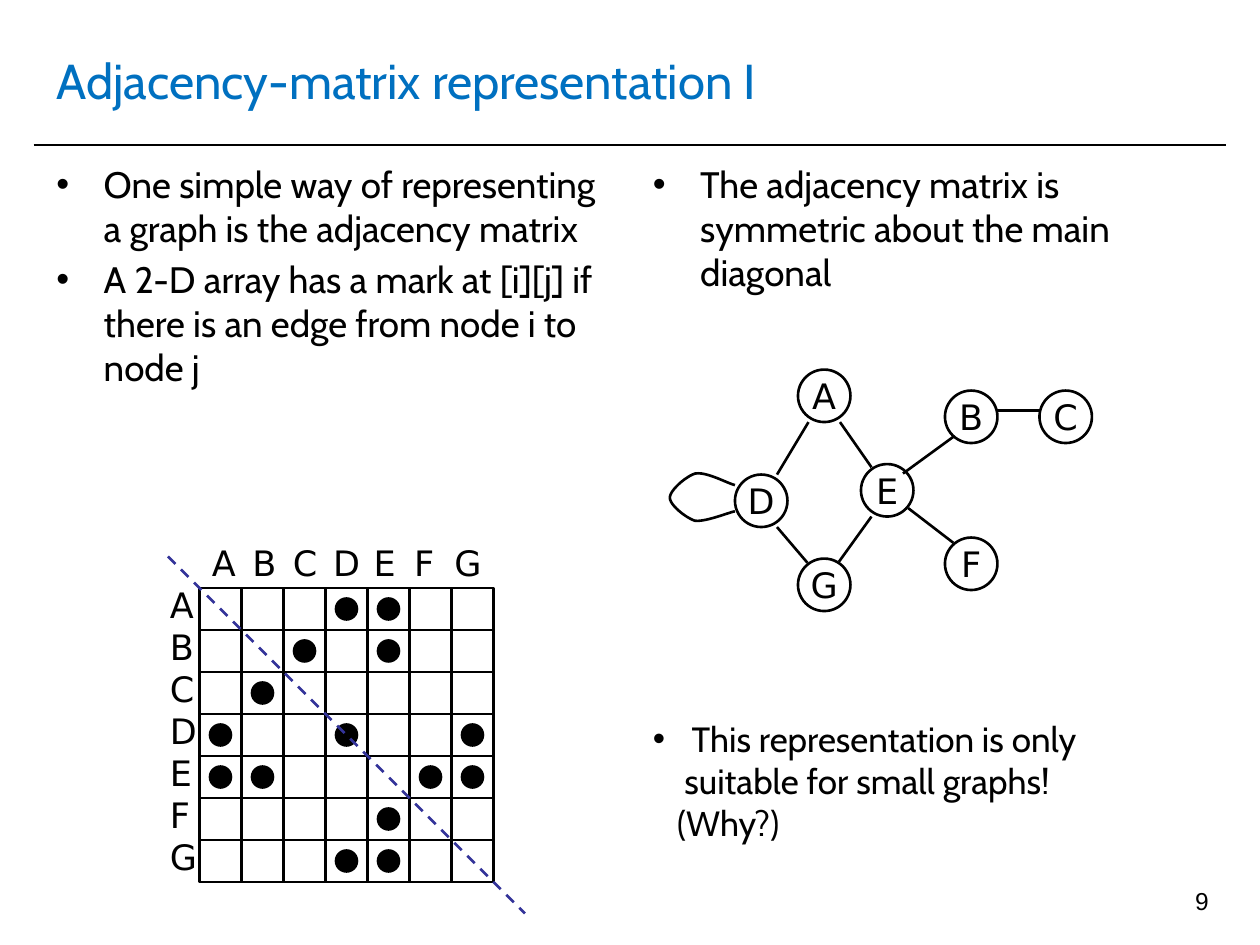
import pptx
import pptx.dml.color
import pptx.enum.dml
import pptx.enum.shapes
import pptx.enum.text
import pptx.oxml
import pptx.oxml.ns
import pptx.util

COLS, ROWS = 120, 90
UNIT = 1 / 12
LETTERS = "ABCDEFG"
ALIGN = pptx.enum.text.PP_ALIGN
ANCHOR = pptx.enum.text.MSO_ANCHOR
SHAPE = pptx.enum.shapes.MSO_SHAPE
LABEL = {"name": "DejaVu Sans", "size": 20}
BODY = {"name": "Cabin", "size": 21}
NOTE = {"name": "Cabin", "size": 20}

NODES = {"A": (76, 35.2), "B": (90, 37.2), "C": (99, 37.2), "D": (70, 45.2),
         "E": (82, 44.2), "F": (90, 51.2), "G": (76, 53.2)}
EDGES = {"AD": (77, 40.2, 74, 45.2), "AE": (80, 40.2, 83, 44.5),
         "BC": (95, 39.1, 99, 39.1), "BE": (90.8, 41.6, 86, 45.1),
         "DG": (74, 50.2, 76.9, 53.6), "EF": (86.5, 48.4, 90.8, 51.7),
         "EG": (83, 49.2, 79.9, 53.5)}
LOOP = [(70, 48.7), (69.4, 48.8), (67.3, 49.7), (66.2, 49.6), (65.3, 49.3),
        (63.8, 48.1), (63.8, 47.4), (63.8, 46.7), (65.3, 45.4), (66.2, 45.1),
        (67.3, 44.9), (69.2, 46), (70, 46.2)]


def grid(*values):
    """Turn grid units into lengths."""
    return [pptx.util.Inches(v * UNIT) for v in values]


def color(hex_string):
    """Turn a hex string into a colour."""
    return pptx.dml.color.RGBColor.from_string(hex_string)


def set_all(target, formats):
    """Set every attribute named in a dict."""
    for name, value in formats.items():
        setattr(target, name, value)


def add_xml(parent, tag, **attributes):
    """Append a DrawingML element and return it."""
    child = parent.makeelement(pptx.oxml.ns.qn(tag), attributes)
    parent.append(child)
    return child


def set_font(r, name, size, hex_string="000000"):
    """Format the font of a run."""
    set_all(r.font, {"name": name, "size": pptx.util.Pt(size)})
    r.font.color.rgb = color(hex_string)


def write(tf, lines, font, frame=None, **formats):
    """Write one formatted paragraph per line."""
    set_all(tf, {"word_wrap": True, **(frame or {})})
    for i, line in enumerate(lines):
        p = tf.paragraphs[0] if i == 0 else tf.add_paragraph()
        set_all(p, formats)
        r = p.add_run()
        r.text = line
        set_font(r, **font)
    return tf


def add_text(s, box, lines, font, frame=None, **formats):
    """Add a text box and return its text frame."""
    sp = s.shapes.add_textbox(*grid(*box))
    return write(sp.text_frame, lines, font, frame, **formats)


def indent(p, left, hanging=0):
    """Indent a paragraph, with a bullet where it hangs."""
    pPr = p._p.get_or_add_pPr()
    pPr.set("marL", str(grid(left)[0]))
    pPr.set("indent", str(-grid(hanging)[0]))
    if hanging:
        add_xml(pPr, "a:buFont", typeface="Arial")
        add_xml(pPr, "a:buChar", char="•")


def add_bullets(s, box, lines):
    """Add a column of bulleted body text."""
    tf = add_text(s, box, lines, BODY, space_before=pptx.util.Pt(4))
    for p in tf.paragraphs:
        indent(p, 4.5, 4.5)


def set_line(sp, hex_string="000000", width=1.5):
    """Format an outline."""
    sp.line.color.rgb = color(hex_string)
    sp.line.width = pptx.util.Pt(width)


def add_line(s, ends, hex_string="000000", width=1.5):
    """Add a straight line without shadow."""
    kind = pptx.enum.shapes.MSO_CONNECTOR.STRAIGHT
    cxn = s.shapes.add_connector(kind, *grid(*ends))
    set_line(cxn, hex_string, width)
    add_xml(cxn._element.spPr, "a:effectLst")
    return cxn


def add_outline(s, kind, box, fill=None):
    """Add an outlined shape, filled or open."""
    sp = s.shapes.add_shape(kind, *grid(*box))
    sp.shadow.inherit = False
    set_line(sp)
    if fill:
        sp.fill.solid()
        sp.fill.fore_color.rgb = color(fill)
    else:
        sp.fill.background()
    return sp


def add_curve(s, points, steps=12):
    """Add an open outline along joined cubic curves."""
    track = []
    for i in range(0, len(points) - 1, 3):
        for t in (k / steps for k in range(steps + 1)):
            weights = ((1 - t) ** 3, 3 * t * (1 - t) ** 2, 3 * t * t * (1 - t), t ** 3)
            track.append(grid(*(sum(w * c for w, c in zip(weights, axis))
                                for axis in zip(*points[i:i + 4]))))
    builder = s.shapes.build_freeform(*track[0])
    builder.add_line_segments(track[1:], close=False)
    sp = builder.convert_to_shape()
    sp.shadow.inherit = False
    sp.fill.background()
    set_line(sp)


def add_graph(s):
    """Draw the nodes, the edges and the loop at D."""
    frame = {"word_wrap": False, "vertical_anchor": ANCHOR.MIDDLE,
             "margin_left": 0, "margin_right": 0, "margin_top": 0, "margin_bottom": 0}
    for letter, (x, y) in NODES.items():
        sp = add_outline(s, SHAPE.OVAL, (x, y, 5, 5))
        write(sp.text_frame, [letter], LABEL, frame, alignment=ALIGN.CENTER)
    for ends in EDGES.values():
        add_line(s, ends)
    add_curve(s, LOOP)


def add_matrix(s, x=19, y=56, cell=4):
    """Draw the adjacency matrix with labels, marks and diagonal."""
    add_text(s, (x - 4, y - 1, 6, 29.2), LETTERS, LABEL, line_spacing=pptx.util.Pt(24))
    tf = add_text(s, (x, y - 5, 34, 5.2), ["\t".join(LETTERS)], LABEL)
    tabs = add_xml(tf.paragraphs[0]._p.get_or_add_pPr(), "a:tabLst")
    for i in range(1, len(LETTERS)):
        add_xml(tabs, "a:tab", pos=str(grid(3.85 * i)[0]), algn="l")
    size = range(len(LETTERS))
    for row in size:
        for col in size:
            add_outline(s, SHAPE.RECTANGLE, (x + col * cell, y + row * cell, cell, cell))
    pairs = [*EDGES, "DD"]
    for row, a in enumerate(LETTERS):
        for col, b in enumerate(LETTERS):
            if a + b in pairs or b + a in pairs:
                dot = (x + col * cell + 1, y + row * cell + 1, 2, 2)
                add_outline(s, SHAPE.OVAL, dot, "000000")
    end = len(LETTERS) * cell + 3
    diagonal = add_line(s, (x - 3, y - 3, x + end, y + end), "333399")
    diagonal.line.dash_style = pptx.enum.dml.MSO_LINE.DASH


def add_title(s, text):
    """Place and format the title above its rule."""
    sp = s.shapes.title
    set_all(sp, dict(zip(("left", "top", "width", "height"), grid(4.2, 2.5, 111.5, 10.2))))
    write(sp.text_frame, [text], {"name": "Cabin", "size": 28, "hex_string": "0070C0"},
          {"vertical_anchor": ANCHOR.MIDDLE}, alignment=ALIGN.LEFT)
    add_line(s, (3.2, 13.8, 116.8, 13.8), width=1)


def add_note(s):
    """Add the closing remark with its stepped indents."""
    lines = ["This representation is only", "suitable for small graphs!", "(Why?)"]
    tf = add_text(s, (61, 67, 45.6, 14.2), lines, NOTE,
                  {"word_wrap": False, "margin_top": grid(1.3)[0]})
    for p, (left, hanging) in zip(tf.paragraphs, ((3.7, 3.7), (3, 0), (2.3, 0))):
        indent(p, left, hanging)


def main():
    """Build and save the slide."""
    prs = pptx.Presentation()
    prs.slide_width, prs.slide_height = grid(COLS, ROWS)
    s = prs.slides.add_slide(prs.slide_layouts[5])
    add_title(s, "Adjacency-matrix representation I")
    add_bullets(s, (4.2, 14.8, 54.7, 65.6), [
        "One simple way of representing a graph is the adjacency matrix",
        "A 2-D array has a mark at [i][j] if there is an edge from node i to node j"])
    add_bullets(s, (61, 14.8, 54.7, 65.6),
                ["The adjacency matrix is symmetric about the main diagonal"])
    add_text(s, (88.3, 83.8, 28, 6.2), ["9"], {"name": "Arial", "size": 14},
             alignment=ALIGN.RIGHT)
    add_graph(s)
    add_matrix(s)
    add_note(s)
    prs.save("out.pptx")


if __name__ == "__main__":
    main()
